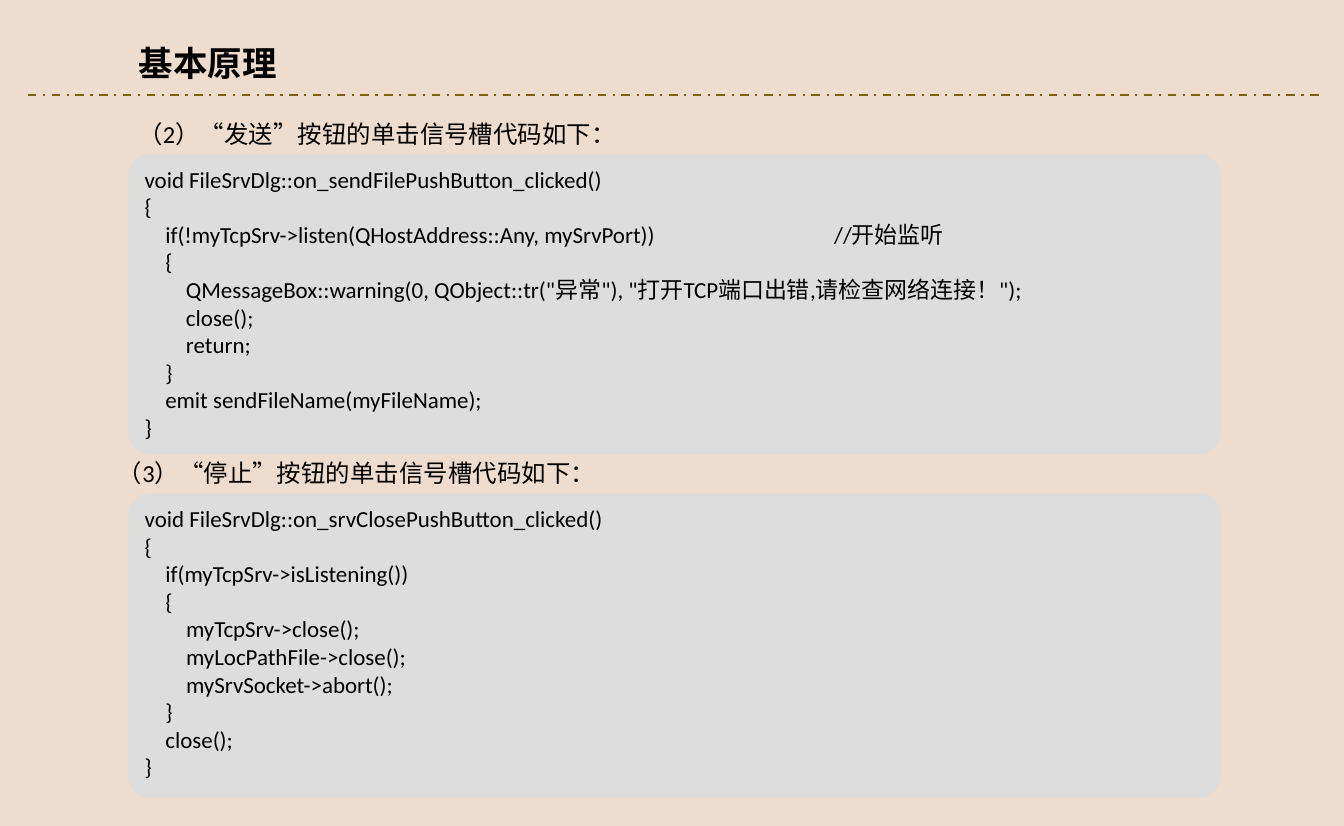
"""Build the slide on the slot code of the send and stop buttons."""
from lxml.etree import SubElement
from pptx import Presentation
from pptx.dml.color import RGBColor
from pptx.enum.dml import MSO_LINE
from pptx.enum.shapes import MSO_CONNECTOR, MSO_SHAPE
from pptx.enum.text import MSO_ANCHOR, MSO_AUTO_SIZE, PP_ALIGN
from pptx.oxml.ns import qn
from pptx.util import Pt


def color(code):
    return RGBColor.from_string(code)


def write(shape, text, size=16, bold=False, wrap=False, tabs=()):
    frame = shape.text_frame
    frame.word_wrap = wrap
    frame.auto_size = MSO_AUTO_SIZE.SHAPE_TO_FIT_TEXT
    frame.vertical_anchor = MSO_ANCHOR.TOP
    for i, line in enumerate(text.split("\n")):
        para = frame.add_paragraph() if i else frame.paragraphs[0]
        para.alignment = PP_ALIGN.LEFT
        if "\t" in line:
            stops = SubElement(para._p.get_or_add_pPr(), qn("a:tabLst"))
            for stop in tabs:
                SubElement(stops, qn("a:tab"), pos=str(Pt(stop)), algn="l")
        run = para.add_run()
        run.text = line
        font = run.font
        font.name = "Calibri"
        font.size = Pt(size)
        font.bold = bold
        font.color.rgb = color("000000")


send = """void FileSrvDlg::on_sendFilePushButton_clicked()
{
    if(!myTcpSrv->listen(QHostAddress::Any, mySrvPort))\t\t//开始监听
    {
        QMessageBox::warning(0, QObject::tr("异常"), "打开TCP端口出错,请检查网络连接！");
        close();
        return;
    }
    emit sendFileName(myFileName);
}"""
stop = """void FileSrvDlg::on_srvClosePushButton_clicked()
{
    if(myTcpSrv->isListening())
    {
        myTcpSrv->close();
        myLocPathFile->close();
        mySrvSocket->abort();
    }
    close();
}"""
parts = [
    ("（2）“发送”按钮的单击信号槽代码如下：", 89.3, 79.2, send, 208.8),
    ("（3）“停止”按钮的单击信号槽代码如下：", 74.9, 315.4, stop, 211.7),
]
left, wide, high = 89.3, 760.3, 28.1

deck = Presentation()
deck.slide_width, deck.slide_height = Pt(935.4), Pt(575)
slide = deck.slides.add_slide(deck.slide_layouts[5])
slide.background.fill.solid()
slide.background.fill.fore_color.rgb = color("EEDCCE")

rule = slide.shapes.add_connector(
    MSO_CONNECTOR.STRAIGHT, Pt(19.4), Pt(66.2), Pt(920.9), Pt(66.2))
rule.line.color.rgb = color("806000")
rule.line.width = Pt(1.5)
rule.line.dash_style = MSO_LINE.DASH_DOT
SubElement(rule._element.spPr, qn("a:effectLst"))

title = slide.shapes.title
title.left, title.top = Pt(left), Pt(25.9)
title.width, title.height = Pt(111.6), Pt(36)
write(title, "基本原理", size=24, bold=True)

for head, x, y, code, tall in parts:
    label = slide.shapes.add_textbox(Pt(x), Pt(y), Pt(349.2), Pt(high))
    write(label, head, size=17)
    panel = slide.shapes.add_shape(
        MSO_SHAPE.ROUNDED_RECTANGLE, Pt(left), Pt(y + high), Pt(wide), Pt(tall))
    panel.adjustments[0] = 0.07
    panel.shadow.inherit = False
    panel.fill.solid()
    panel.fill.fore_color.rgb = color("DDDDDD")
    panel.line.fill.background()
    write(panel, code, wrap=True, tabs=(384, 480))

deck.save("out.pptx")
